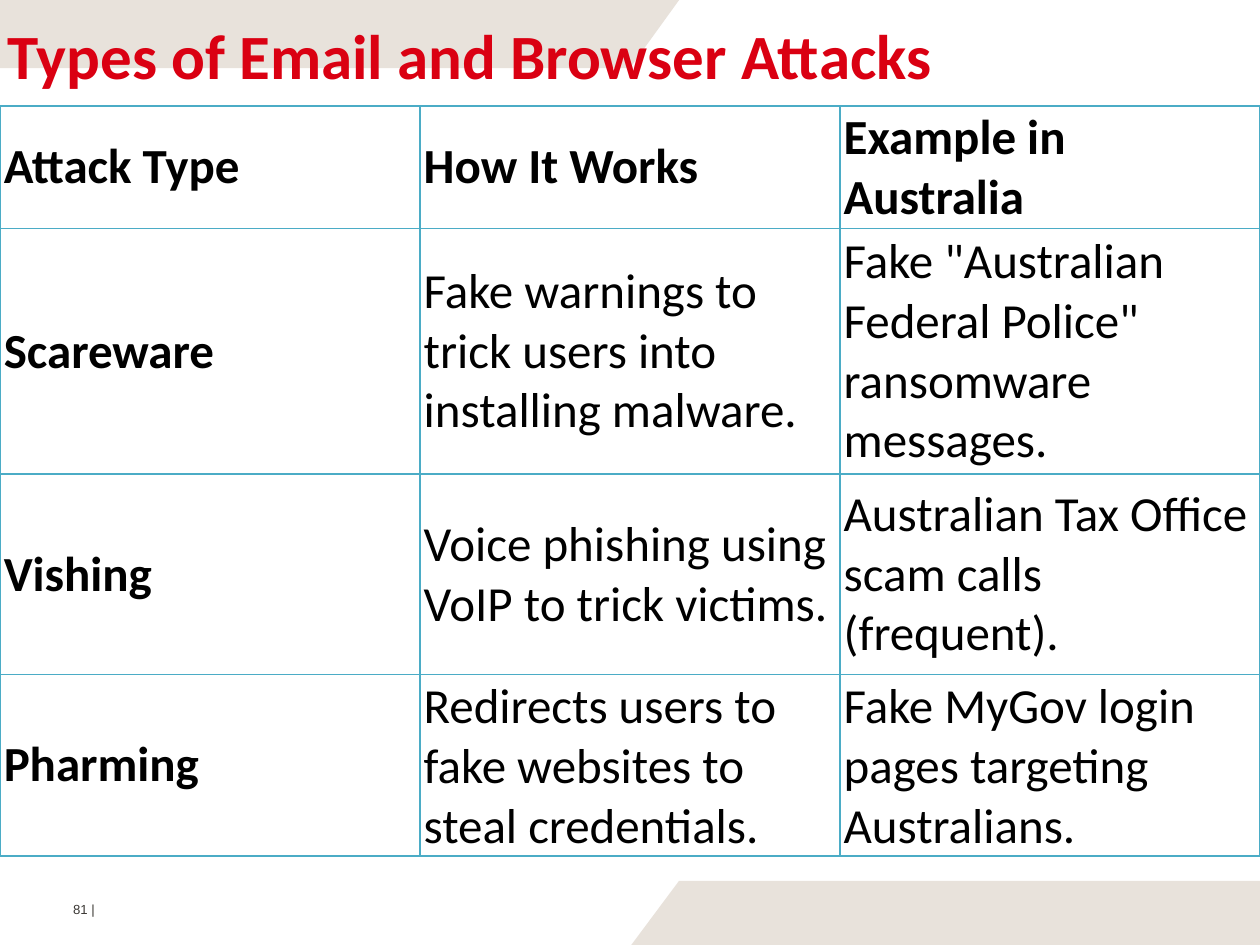
from lxml import etree
from pptx import Presentation
from pptx import util as u
from pptx.dml.color import RGBColor
from pptx.enum import text
from pptx.oxml import ns

COLORS = {"band": "E8E2DB", "title": "DA0012", "footer": "3C3935",
          "body": "000000", "border": "4BACC6"}

TITLE = {"size": u.Pt(36), "name": "Calibri", "bold": True}
FOOTER = {"size": u.Pt(7.5), "name": "Arial", "bold": False}
STRONG = {"size": u.Pt(28), "name": "Calibri", "bold": True}
NORMAL = {**STRONG, "bold": False}

ROW_HEIGHTS = [0.97, 1.95, 1.59, 1.43]
ATTACKS = [
    ["Attack Type", "How It Works", "Example in Australia"],
    ["Scareware", "Fake warnings to trick users into installing malware.",
     'Fake "Australian Federal Police" ransomware messages.'],
    ["Vishing", "Voice phishing using VoIP to trick victims.",
     "Australian Tax Office scam calls (frequent)."],
    ["Pharming", "Redirects users to fake websites to steal credentials.",
     "Fake MyGov login pages targeting Australians."],
]


def rgb(name):
    return RGBColor.from_string(COLORS[name])


def set_margins(obj, left, top, right, bottom):
    margins = {"left": left, "top": top, "right": right, "bottom": bottom}
    for side, value in margins.items():
        setattr(obj, f"margin_{side}", u.Inches(value))


def add_run(p, words, style, color, spacing=0):
    r = p.add_run()
    r.text = words
    for key, value in style.items():
        setattr(r.font, key, value)
    r.font.color.rgb = rgb(color)
    if spacing:
        r._r.get_or_add_rPr().set("spc", str(round(spacing * 100)))


def add_band(s, points):
    start, *rest = [(u.Inches(x), u.Inches(y)) for x, y in points]
    builder = s.shapes.build_freeform(*start)
    builder.add_line_segments(rest, close=True)
    sp = builder.convert_to_shape()
    sp.shadow.inherit = False
    sp.fill.solid()
    sp.fill.fore_color.rgb = rgb("band")
    sp.line.fill.background()


def add_label(s, box, runs, style, color, top=0, indent=0):
    """Add one line of text; runs are (words, letter spacing) pairs."""
    tf = s.shapes.add_textbox(*map(u.Inches, box)).text_frame
    tf.word_wrap = True
    set_margins(tf, 0, top, 0, 0)
    p = tf.paragraphs[0]
    p._p.get_or_add_pPr().set("marL", str(u.Inches(indent)))
    for words, spacing in runs:
        add_run(p, words, style, color, spacing)


def set_borders(cell):
    tcPr = cell._tc.get_or_add_tcPr()
    for i, tag in enumerate(("a:lnL", "a:lnR", "a:lnT", "a:lnB")):
        ln = etree.Element(ns.qn(tag), w=str(u.Pt(1)))
        fill = etree.SubElement(ln, ns.qn("a:solidFill"))
        etree.SubElement(fill, ns.qn("a:srgbClr"), val=COLORS["border"])
        tcPr.insert(i, ln)


def add_attack_table(s):
    box = map(u.Inches, (0, 0.84, 10, sum(ROW_HEIGHTS)))
    table = s.shapes.add_table(len(ATTACKS), len(ATTACKS[0]), *box).table
    table.first_row = table.horz_banding = False
    for row, height in zip(table.rows, ROW_HEIGHTS):
        row.height = u.Inches(height)
    for i, row in enumerate(ATTACKS):
        for j, words in enumerate(row):
            cell = table.cell(i, j)
            cell.fill.background()
            cell.vertical_anchor = text.MSO_ANCHOR.MIDDLE
            set_margins(cell, 0.03, 0.02, 0.03, 0.02)
            style = STRONG if i == 0 or j == 0 else NORMAL
            add_run(cell.text_frame.paragraphs[0], words, style, "body")
            set_borders(cell)


def main():
    prs = Presentation()
    prs.slide_width, prs.slide_height = u.Inches(10), u.Inches(7.5)
    s = prs.slides.add_slide(prs.slide_layouts[6])

    # Slanted bands at the top and bottom
    add_band(s, [(0, 0), (5.39, 0), (5, 0.54), (0, 0.54)])
    add_band(s, [(10, 6.99), (5.39, 6.99), (5.01, 7.5), (10, 7.5)])

    # Title and page number
    add_label(s, (-0.03, -0.01, 7.69, 0.75),
              [("Types of Email and Browser ", 0), ("Attacks", -0.1)],
              TITLE, "title", top=0.14, indent=0.09)
    add_label(s, (0.54, 7.15, 0.26, 0.15), [("81 ", 0), ("|", -0.5)],
              FOOTER, "footer", indent=0.04)

    # Attack types
    add_attack_table(s)

    prs.save("out.pptx")


if __name__ == "__main__":
    main()
